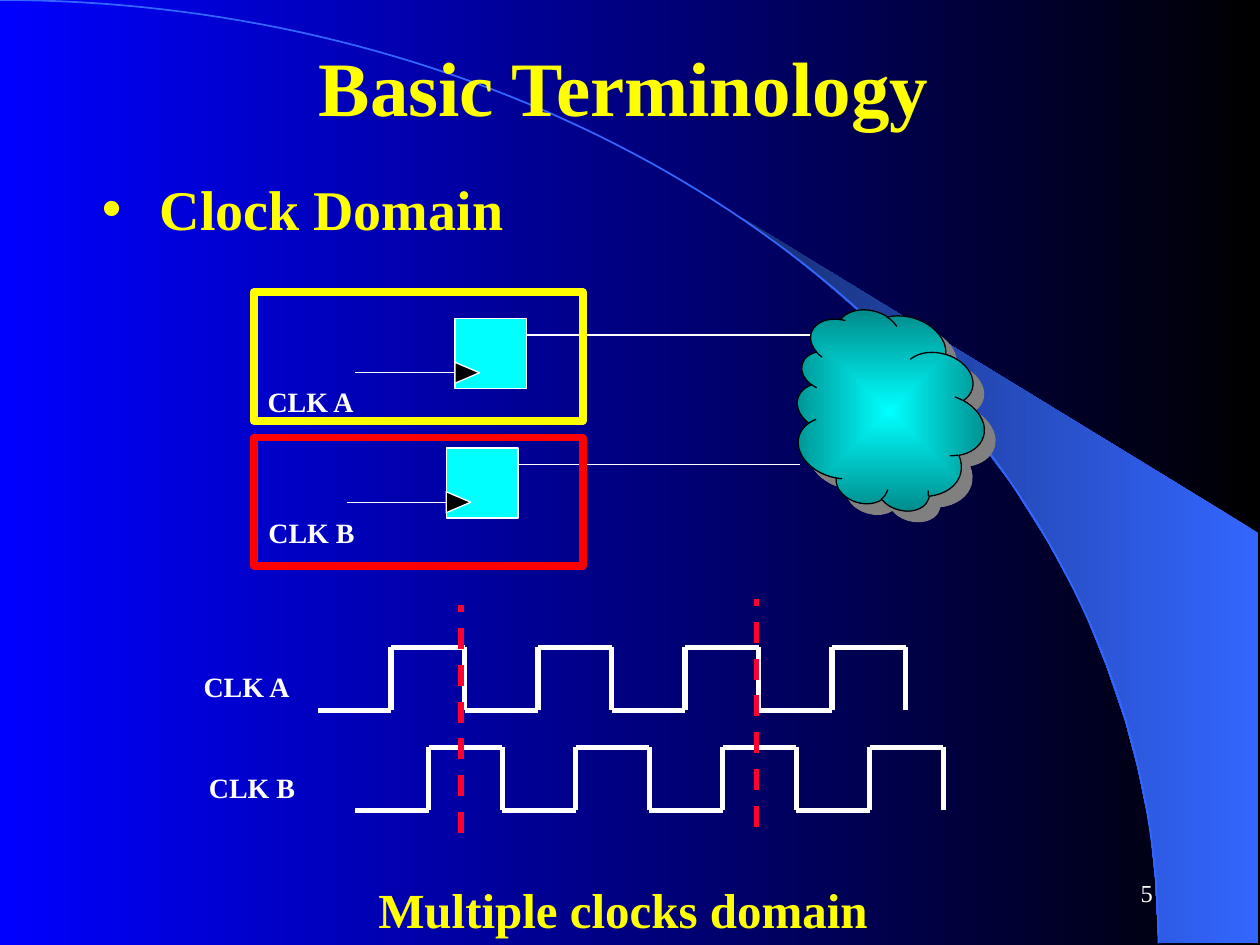
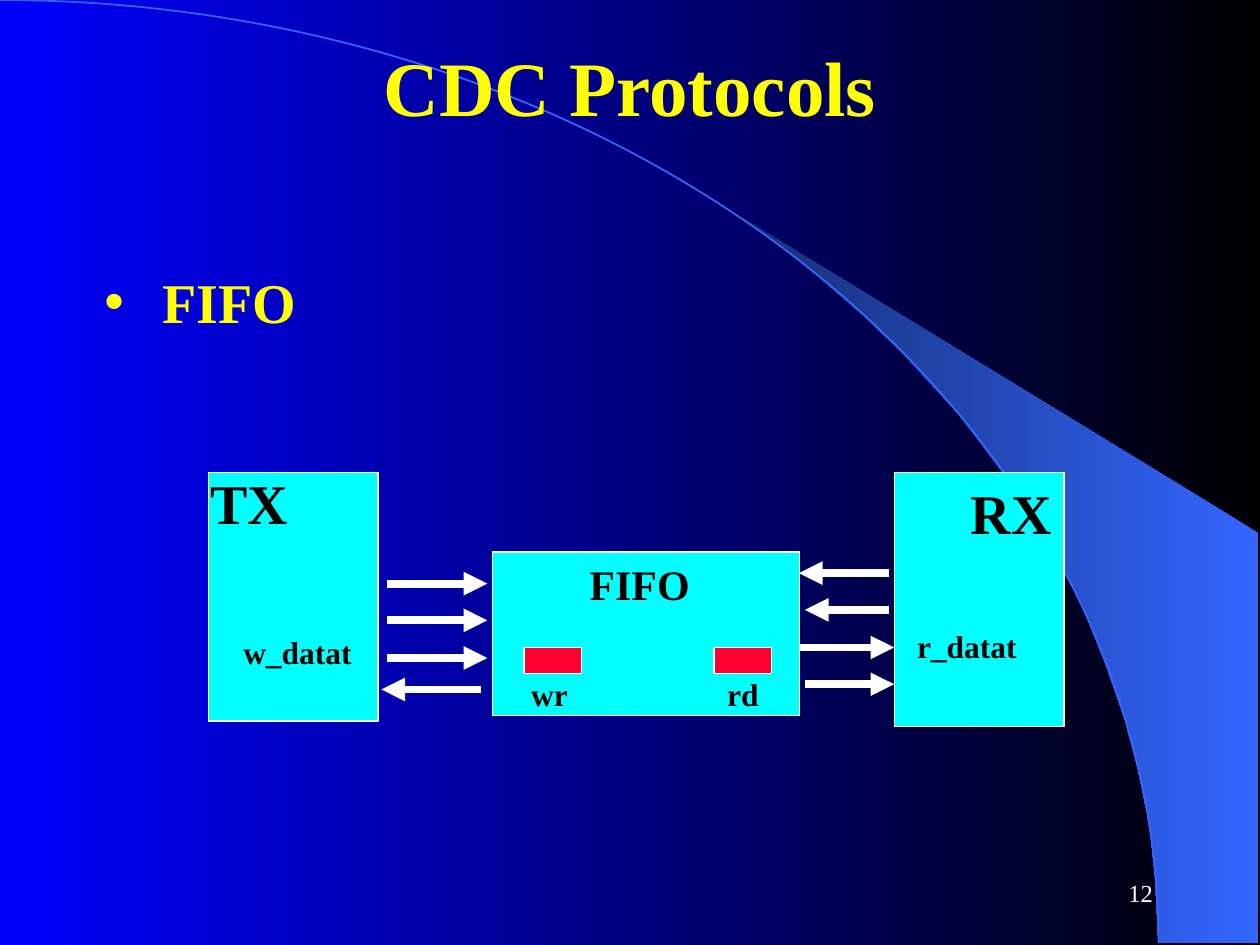
"""Build two slides on clock domains and CDC protocols."""
from math import cos, pi, sin

from lxml.etree import SubElement
from pptx import Presentation
from pptx.dml.color import RGBColor
from pptx.enum.dml import MSO_LINE
from pptx.enum.shapes import MSO_CONNECTOR, MSO_SHAPE
from pptx.enum.text import MSO_ANCHOR, MSO_AUTO_SIZE, PP_ALIGN
from pptx.oxml.ns import qn
from pptx.util import Pt

FONT = "Times New Roman"
COLORS = {
    "white": "FFFFFF", "black": "000000", "blue": "0000FF", "beam": "3366FF",
    "beam_dark": "172F75", "yellow": "FFFF00", "red": "FF0000",
    "crimson": "FF0033", "cyan": "00FFFF", "teal": "007575", "gray": "808080",
}
BEAM = [
    (662, 539), (719, 539), (719, 304.5), (424, 124.5), (449, 143),
    (470, 160), (493, 180), (515.5, 201.5), (548.5, 237.5), (578, 276.5),
    (599, 310), (618, 345), (632, 380), (643, 412), (650, 438.5),
    (657, 472), (660, 501),
]


def rgb(name):
    return RGBColor.from_string(COLORS[name])


def set_gradient(fill, start, end):
    fill.gradient()
    fill.gradient_angle = 180
    for stop, name in zip(fill.gradient_stops, (start, end)):
        stop.color.rgb = rgb(name)


def set_line(line, color, width):
    line.color.rgb = rgb(color)
    line.width = Pt(width)


def write(tf, text, size, color, bold=True, align=PP_ALIGN.CENTER):
    tf.auto_size = MSO_AUTO_SIZE.NONE
    p = tf.paragraphs[0]
    p.text = text
    p.alignment = align
    p.font.name = FONT
    p.font.size = Pt(size)
    p.font.bold = bold
    p.font.color.rgb = rgb(color)
    return p


def place(sp, left, top, width, height):
    sp.left, sp.top, sp.width, sp.height = map(Pt, (left, top, width, height))


def add_outline(slide, points, close):
    pts = [(Pt(x), Pt(y)) for x, y in points]
    builder = slide.shapes.build_freeform(*pts[0])
    builder.add_line_segments(pts[1:], close=close)
    sp = builder.convert_to_shape()
    sp.shadow.inherit = False
    return sp


def decorate_master(prs, slide):
    master = prs.slide_master
    set_gradient(master.background.fill, "black", "blue")
    beam = add_outline(slide, BEAM, True)
    set_gradient(beam.fill, "beam", "beam_dark")
    beam.line.fill.background()
    angles = [pi / 2 * i / 90 for i in range(91)]
    arc = add_outline(
        slide, [(662 * sin(a), 539 * (1 - cos(a))) for a in angles], False)
    arc.fill.background()
    set_line(arc.line, "beam", 1)
    for sp in (beam, arc):
        master.shapes.element.append(sp.element)


def add_label(slide, text, box, size, color="white", **style):
    sp = slide.shapes.add_textbox(*map(Pt, box))
    sp.text_frame.word_wrap = False
    write(sp.text_frame, text, size, color, **style)
    return sp


def add_heading(slide, title, center, bullet, left, top, number):
    sp = slide.shapes.title
    place(sp, center - 250, 19, 500, 60)
    sp.text_frame.vertical_anchor = MSO_ANCHOR.MIDDLE
    write(sp.text_frame, title, 44, "yellow")

    body = slide.placeholders[1]
    place(body, left, top, 300, 46)
    p = write(body.text_frame, bullet, 32, "yellow", align=PP_ALIGN.LEFT)
    p.space_before = Pt(0)
    pPr = p._p.get_or_add_pPr()
    pPr.set("marL", str(Pt(33)))
    pPr.set("indent", str(-Pt(33)))

    page = add_label(slide, number, (516, 492, 150, 36), 14,
                     bold=False, align=PP_ALIGN.RIGHT)
    page.text_frame.word_wrap = True
    page.text_frame.vertical_anchor = MSO_ANCHOR.MIDDLE


def add_block(slide, box, fill="cyan", line="white", width=0.75,
              kind=MSO_SHAPE.RECTANGLE):
    sp = slide.shapes.add_shape(kind, *map(Pt, box))
    sp.shadow.inherit = False
    if fill:
        sp.fill.solid()
        sp.fill.fore_color.rgb = rgb(fill)
    else:
        sp.fill.background()
    set_line(sp.line, line, width)
    return sp


def add_line(slide, start, end, width=0.75, color="white",
             dashed=False, arrow=False):
    cn = slide.shapes.add_connector(
        MSO_CONNECTOR.STRAIGHT, *map(Pt, (*start, *end)))
    set_line(cn.line, color, width)
    if dashed:
        cn.line.dash_style = MSO_LINE.DASH
    spPr = cn.element.spPr
    if arrow:
        SubElement(spPr.find(qn("a:ln")), qn("a:tailEnd"), type="triangle")
    SubElement(spPr, qn("a:effectLst"))


def add_flip_flop(slide, left, top, output_end):
    add_line(slide, (left + 41, top + 9.5), (output_end, top + 9.5))
    add_block(slide, (left, top, 41, 40))
    clock = add_block(slide, (left + 1, top + 24, 12, 14), "black",
                      kind=MSO_SHAPE.ISOSCELES_TRIANGLE)
    clock.rotation = 90
    add_line(slide, (left - 57, top + 31), (left, top + 31))


def add_cloud(slide):
    sp = add_block(slide, (453, 179.5, 110, 111), line="black",
                   kind=MSO_SHAPE.CLOUD)
    sp.rotation = 286.2
    set_gradient(sp.fill, "cyan", "teal")
    spPr = sp.element.spPr
    grad = spPr.find(qn("a:gradFill"))
    grad.remove(grad.find(qn("a:lin")))
    path = SubElement(grad, qn("a:path"), path="rect")
    SubElement(path, qn("a:fillToRect"),
               {side: "50000" for side in ("l", "t", "r", "b")})
    shadow = SubElement(spPr.find(qn("a:effectLst")), qn("a:outerShdw"),
                        dist=str(Pt(8.5)), dir="2700000", algn="ctr",
                        rotWithShape="0")
    SubElement(shadow, qn("a:srgbClr"), val=COLORS["gray"])


def add_wave(slide, left, low, step=42, height=36):
    points = [(left + step * ((i + 1) // 2), low - height * (i % 4 > 1))
              for i in range(17)]
    for start, end in zip(points, points[1:]):
        add_line(slide, start, end, 3)


def build_terminology(slide):
    add_heading(slide, "Basic Terminology", 356.5, "Clock Domain", 51, 96, "5")
    add_label(slide, "Multiple clocks domain", (209, 499, 294, 41), 28,
              "yellow")
    add_flip_flop(slide, 260, 182, 475)
    add_flip_flop(slide, 255, 256, 457)
    add_cloud(slide)
    for top, color in ((167, "yellow"), (250, "red")):
        add_block(slide, (145, top, 188, 73.5), None, color, 4.5)
    for text, left, top in (("CLK A", 145.5, 216), ("CLK B", 146, 291),
                            ("CLK A", 109, 379), ("CLK B", 112, 436.5)):
        add_label(slide, text, (left, top, 64, 27), 16)
    add_wave(slide, 181.5, 406)
    add_wave(slide, 203, 463)
    for x, bottom in ((263.5, 476), (432.5, 472.5)):
        add_line(slide, (x, bottom), (x, bottom - 130), 3, "crimson", True)


def build_protocols(slide):
    add_heading(slide, "CDC Protocols", 360, "FIFO", 52.5, 149, "12")
    for box in ((119, 270, 97, 142), (511, 270, 97, 145),
                (281.5, 315.5, 175.5, 93.5)):
        add_block(slide, box)
    for left in (299.5, 408):
        add_block(slide, (left, 370, 33, 15), "crimson")
    for text, box, size in (
            ("TX", (113, 264, 59, 46), 32),
            ("RX", (548, 270, 60, 46), 32),
            ("FIFO", (330, 315.5, 71, 36), 24),
            ("w_datat", (132, 358, 76, 29), 18),
            ("r_datat", (517, 355, 71, 29), 18),
            ("wr", (296.5, 382, 35, 29), 18),
            ("rd", (408, 382, 33, 29), 18)):
        add_label(slide, text, box, size, "black")
    for start, end, y in (
            (221, 278.5, 333.5), (221, 278.5, 354.5), (221, 278.5, 376),
            (275, 218, 394), (508, 456.5, 327.5), (508, 460, 348.5),
            (456.5, 511, 370), (460, 511, 391)):
        add_line(slide, (start, y), (end, y), 4.5, arrow=True)


def main():
    prs = Presentation()
    prs.slide_width, prs.slide_height = Pt(720), Pt(540)
    layout = prs.slide_layouts[1]
    terminology, protocols = (prs.slides.add_slide(layout) for _ in range(2))
    decorate_master(prs, terminology)
    build_terminology(terminology)
    build_protocols(protocols)
    prs.save("out.pptx")


if __name__ == "__main__":
    main()
